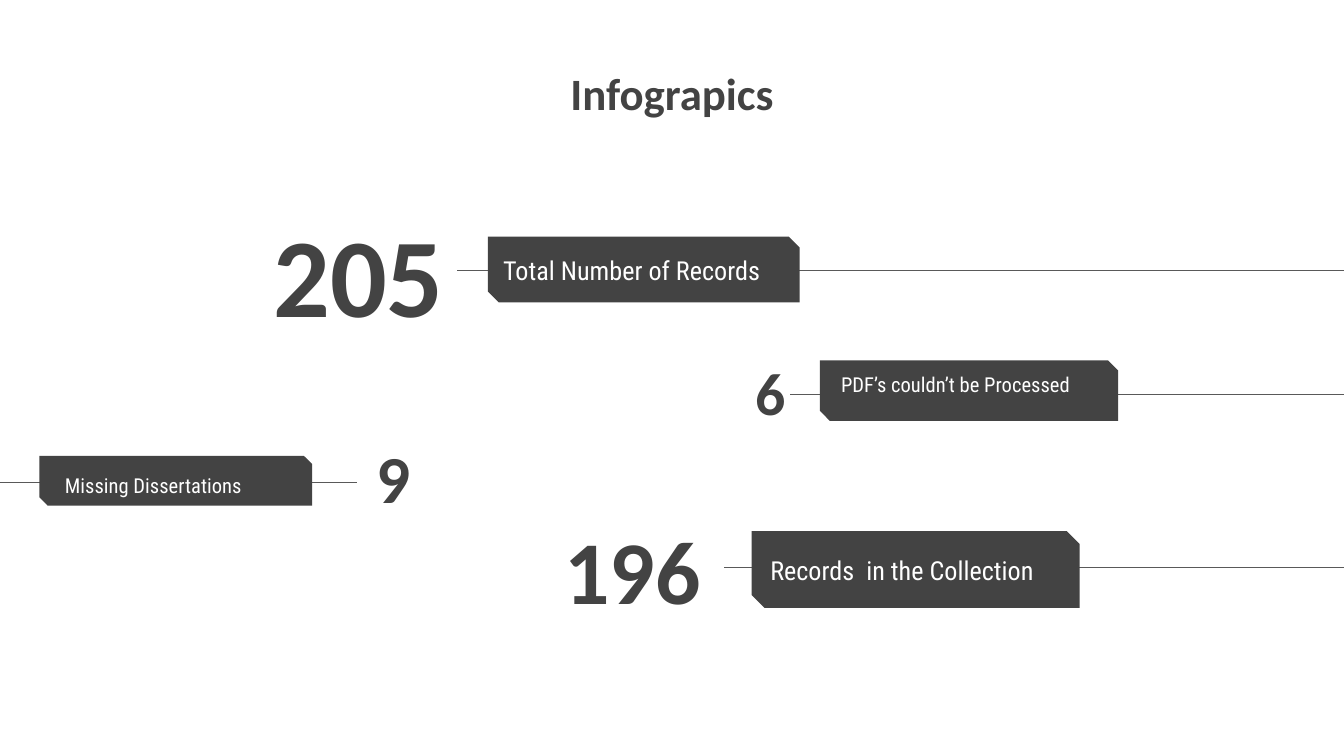
from dataclasses import dataclass

from lxml import etree
from pptx import Presentation
from pptx.dml.color import RGBColor
from pptx.enum.shapes import MSO_CONNECTOR, MSO_SHAPE
from pptx.enum.text import MSO_ANCHOR, MSO_AUTO_SIZE, PP_ALIGN
from pptx.oxml.ns import qn
from pptx.util import Inches, Pt

STRAIGHT = MSO_CONNECTOR.STRAIGHT
SNIPPED = MSO_SHAPE.SNIP_2_DIAG_RECTANGLE
TOP, MIDDLE = MSO_ANCHOR.TOP, MSO_ANCHOR.MIDDLE
LEFT, CENTER, RIGHT = PP_ALIGN.LEFT, PP_ALIGN.CENTER, PP_ALIGN.RIGHT

COLORS = {"dark": "434343", "rule": "595959", "white": "FFFFFF"}
HEAD_FONT, LABEL_FONT = "Calibri", "Roboto Condensed"

# Grid of 100 columns by 56.25 rows (16:9), with square cells
COLS, ROWS = 100, 56.25
CELL = Inches(0.1)


@dataclass
class Stat:
    value: str
    value_size: int
    value_box: tuple   # offset from the tag, then width and height
    label: str
    label_size: int
    label_box: tuple   # offset from the tag, then width and height
    tag: tuple         # left, top, width, height
    rule: tuple        # near end of the rule: column, row
    edge: int = COLS   # slide edge where the rule ends
    anchor: int = TOP
    inset: float = 1


STATS = [
    Stat("205", 60, (-21.9, -1.45, 19.6, 8.3),
         "Total Number of Records", 14, (0.15, 0.65, 35.7, 3.7),
         (36.3, 17.6, 23.2, 4.9), (34, 20.13), anchor=MIDDLE),
    Stat("6", 32, (-16.25, 0.3, 14.7, 4.1),
         "PDF’s couldn’t be Processed", 11, (0.6, 0.4, 21.6, 2.9),
         (61, 26.82, 22.2, 4.5), (58.8, 29.36), inset=0.5),
    Stat("9", 36, (11.5, -1.4, 17.1, 5.9),
         "Missing Dissertations", 11, (0.92, 0.25, 35.7, 3.7),
         (2.93, 33.92, 20.3, 3.7), (26.6, 35.9), edge=0),
    Stat("196", 48, (-17.5, 0.7, 14.7, 4.1),
         "Records  in the Collection", 14, (0.4, 0.72, 35.7, 6),
         (55.93, 39.53, 24.4, 5.7), (53.9, 42.23)),
]


def color(name):
    return RGBColor.from_string(COLORS[name])


def cells(*values):
    return [int(v * CELL) for v in values]


def set_text(sp, text, size, font, fill, align, anchor=TOP, bold=False, inset=1):
    tf = sp.text_frame
    tf.word_wrap = True
    tf.auto_size = MSO_AUTO_SIZE.NONE
    tf.vertical_anchor = anchor
    tf.margin_left, tf.margin_right = cells(1, 1)
    tf.margin_top, tf.margin_bottom = cells(inset, inset)
    p = tf.paragraphs[0]
    p.text = text
    p.alignment = align
    p.font.name, p.font.size, p.font.bold = font, Pt(size), bold
    p.font.color.rgb = color(fill)


def add_title(s, box, text):
    sp = s.shapes.title
    sp.left, sp.top, sp.width, sp.height = cells(*box)
    set_text(sp, text, 24, HEAD_FONT, "dark", CENTER, bold=True)


def add_rule(s, start, edge):
    x, y = start
    line = s.shapes.add_connector(STRAIGHT, *cells(edge, y, x, y))
    line.line.color.rgb = color("rule")
    line.line.width = Pt(0.75)
    etree.SubElement(line._element.spPr, qn("a:effectLst"))


def add_tag(s, box):
    sp = s.shapes.add_shape(SNIPPED, *cells(*box))
    sp.shadow.inherit = False
    sp.adjustments[0], sp.adjustments[1] = 0, 0.167
    sp.fill.solid()
    sp.fill.fore_color.rgb = color("dark")
    sp.line.fill.background()


def add_stat(s, stat):
    left, top = stat.tag[:2]

    def beside_tag(box):
        dx, dy, w, h = box
        return s.shapes.add_textbox(*cells(left + dx, top + dy, w, h))

    # Rule runs behind the tag to the slide edge
    add_rule(s, stat.rule, stat.edge)
    add_tag(s, stat.tag)
    # Figure and label
    set_text(beside_tag(stat.value_box), stat.value, stat.value_size,
             HEAD_FONT, "dark", RIGHT, MIDDLE, bold=True)
    set_text(beside_tag(stat.label_box), stat.label, stat.label_size,
             LABEL_FONT, "white", LEFT, stat.anchor, inset=stat.inset)


def main():
    prs = Presentation()
    prs.slide_width, prs.slide_height = cells(COLS, ROWS)
    s = prs.slides.add_slide(prs.slide_layouts[5])
    add_title(s, (21.5, 3.9, 57, 10.3), "Infograpics")
    for stat in STATS:
        add_stat(s, stat)
    prs.save("out.pptx")


if __name__ == "__main__":
    main()
